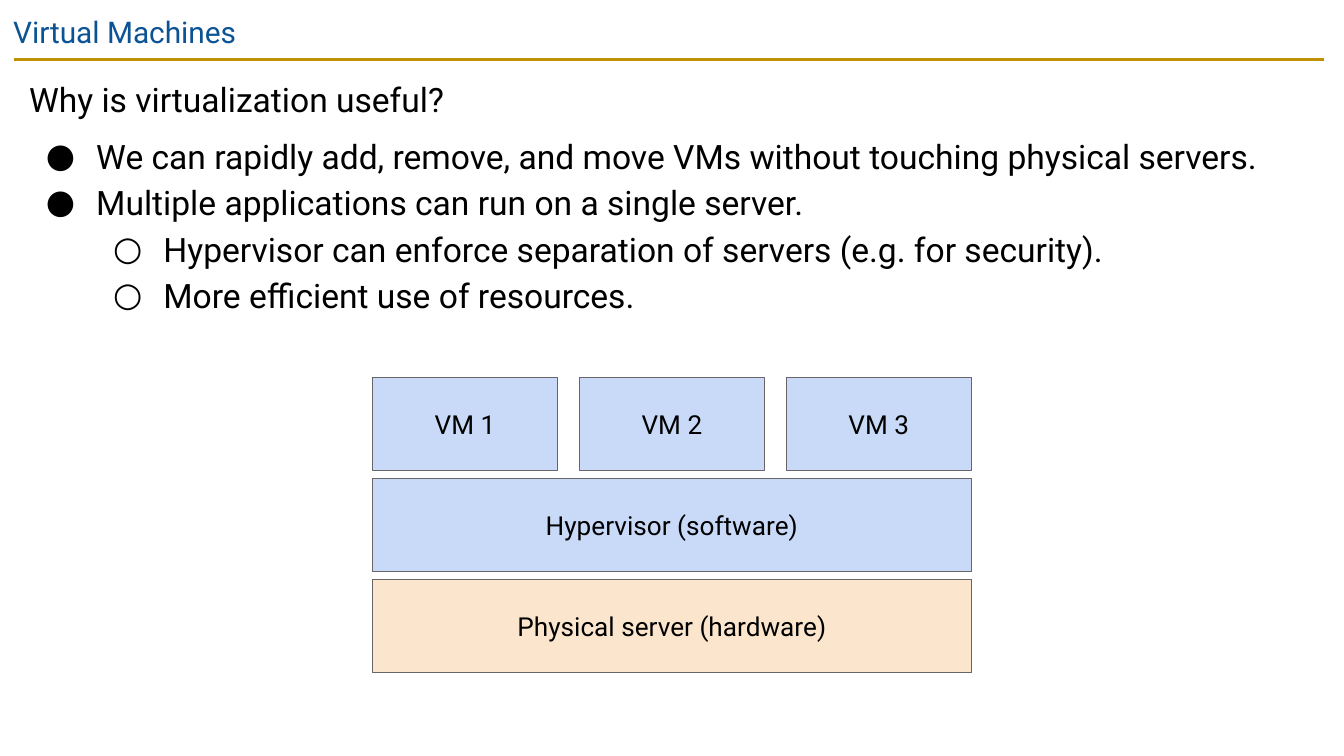
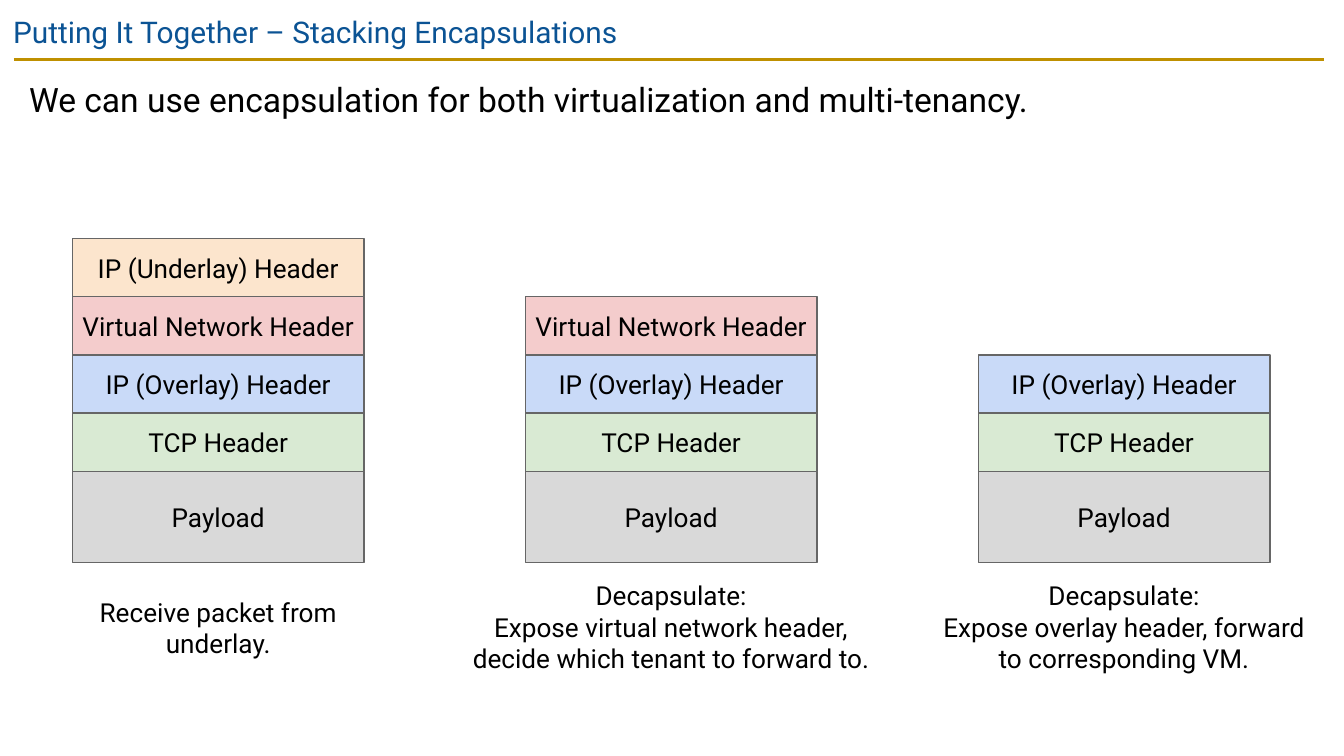
from lxml import etree
from pptx import Presentation
from pptx import util as u
from pptx.dml.color import RGBColor
from pptx.enum import shapes, text
from pptx.oxml.ns import qn

Cm, Pt = u.Cm, u.Pt

FONT = "Roboto"
BLACK = RGBColor(0x00, 0x00, 0x00)
NAVY = RGBColor(0x0B, 0x53, 0x94)
GOLD = RGBColor(0xBF, 0x90, 0x00)
BORDER = RGBColor(0x66, 0x66, 0x66)
ORANGE = RGBColor(0xFC, 0xE5, 0xCD)
BLUE = RGBColor(0xC9, 0xDA, 0xF8)
RED = RGBColor(0xF4, 0xCC, 0xCC)
GREEN = RGBColor(0xD9, 0xEA, 0xD3)
GRAY = RGBColor(0xD9, 0xD9, 0xD9)

BULLETS = "●○"


class Deck:
    """Shared style and the slide being built; lengths are in centimetres."""

    def __init__(self):
        self.prs = Presentation()
        self.prs.slide_width, self.prs.slide_height = Cm(25.4), Cm(14.29)
        self.s = None

    def slide(self, title):
        self.s = self.prs.slides.add_slide(self.prs.slide_layouts[6])
        # Rule under the title
        cn = self.s.shapes.add_connector(
            shapes.MSO_CONNECTOR.STRAIGHT, Cm(0.26), Cm(1.12), Cm(25.02), Cm(1.12))
        cn.line.color.rgb = GOLD
        cn.line.width = Pt(1.5)
        etree.SubElement(cn._element.spPr, qn("a:effectLst"))
        tf = self.textbox(0, 0, 25.4, 1.09)
        self.run(tf.paragraphs[0], title, 16, NAVY)

    def textbox(self, x, y, w, h, inset=0.25):
        tf = self.s.shapes.add_textbox(Cm(x), Cm(y), Cm(w), Cm(h)).text_frame
        self.frame(tf, inset)
        return tf

    def frame(self, tf, inset):
        tf.word_wrap = True
        tf.margin_left = tf.margin_right = Cm(inset)
        tf.margin_top = tf.margin_bottom = Cm(inset)

    def run(self, p, words, size, color=BLACK):
        r = p.add_run()
        r.text = words
        r.font.name, r.font.size, r.font.color.rgb = FONT, Pt(size), color

    def bullet(self, p, level):
        p.level = level
        pPr = p._p.get_or_add_pPr()
        pPr.set("marL", str(Cm(1.27 * (level + 1))))
        pPr.set("indent", str(Cm(-0.95)))
        clr = etree.SubElement(pPr, qn("a:buClr"))
        etree.SubElement(clr, qn("a:srgbClr"), val=str(BLACK))
        etree.SubElement(pPr, qn("a:buFont"), typeface=FONT)
        etree.SubElement(pPr, qn("a:buChar"), char=BULLETS[level])

    def body(self, h, lead, items=()):
        tf = self.textbox(0.3, 1.12, 24.74, h)
        p = tf.paragraphs[0]
        p.line_spacing = 1.15
        self.run(p, lead, 18)
        for i, (level, words) in enumerate(items):
            p = tf.add_paragraph()
            self.bullet(p, level)
            p.line_spacing = 1.15
            p.space_before = Pt(0 if i else 6)
            self.run(p, words, 18)

    def box(self, x, y, w, h, label, fill, inset=0.25):
        sp = self.s.shapes.add_shape(
            shapes.MSO_SHAPE.RECTANGLE, Cm(x), Cm(y), Cm(w), Cm(h))
        sp.shadow.inherit = False
        sp.fill.solid()
        sp.fill.fore_color.rgb = fill
        sp.line.color.rgb = BORDER
        sp.line.width = Pt(0.75)
        tf = sp.text_frame
        self.frame(tf, inset)
        tf.vertical_anchor = text.MSO_ANCHOR.MIDDLE
        p = tf.paragraphs[0]
        p.alignment = text.PP_ALIGN.CENTER
        self.run(p, label, 14)

    def caption(self, center, middle, w, h, lines):
        tf = self.textbox(center - w / 2, middle - h / 2, w, h, inset=0)
        p = tf.paragraphs[0]
        p.alignment = text.PP_ALIGN.CENTER
        for i, line in enumerate(lines):
            if i:
                p.add_line_break()
            self.run(p, line, 14)


def virtual_machines(d):
    d.slide("Virtual Machines")
    d.body(5.33, "Why is virtualization useful?", [
        (0, "We can rapidly add, remove, and move VMs without touching physical servers."),
        (0, "Multiple applications can run on a single server."),
        (1, "Hypervisor can enforce separation of servers (e.g. for security)."),
        (1, "More efficient use of resources."),
    ])
    # Server stack: three VMs over two full-width layers
    left, top, height, row_step = 7.04, 7.14, 1.75, 1.91
    vm_w, vm_step = 3.5, 3.91
    full_w = 2 * vm_step + vm_w
    for i in range(3):
        d.box(left + i * vm_step, top, vm_w, height, f"VM {i + 1}", BLUE)
    d.box(left, top + row_step, full_w, height, "Hypervisor (software)", BLUE)
    d.box(left, top + 2 * row_step, full_w, height, "Physical server (hardware)", ORANGE)


def stacking_encapsulations(d):
    d.slide("Putting It Together – Stacking Encapsulations")
    d.body(1.73, "We can use encapsulation for both virtualization and multi-tenancy.")
    # Packet layers from outermost to innermost: label, fill, height, inset
    layers = [
        ("IP (Underlay) Header", ORANGE, 1.1, 0.25),
        ("Virtual Network Header", RED, 1.1, 0),
        ("IP (Overlay) Header", BLUE, 1.1, 0.25),
        ("TCP Header", GREEN, 1.1, 0.25),
        ("Payload", GRAY, 1.73, 0.25),
    ]
    # Caption of each step: width, height, lines
    captions = [
        (6.45, 1.19, ["Receive packet from underlay."]),
        (8.0, 1.8, ["Decapsulate:",
                    "Expose virtual network header, decide which tenant to forward to."]),
        (6.86, 1.8, ["Decapsulate:",
                     "Expose overlay header, forward to corresponding VM."]),
    ]
    left, step, width, bottom = 1.37, 8.56, 5.51, 10.64
    for i, (cap_w, cap_h, lines) in enumerate(captions):
        x = left + i * step
        # Each step strips one more outer layer
        y = bottom - sum(h for _, _, h, _ in layers[i:])
        for label, fill, h, inset in layers[i:]:
            d.box(x, y, width, h, label, fill, inset)
            y += h
        d.caption(x + width / 2, 11.86, cap_w, cap_h, lines)


def main():
    d = Deck()
    virtual_machines(d)
    stacking_encapsulations(d)
    d.prs.save("out.pptx")


if __name__ == "__main__":
    main()
